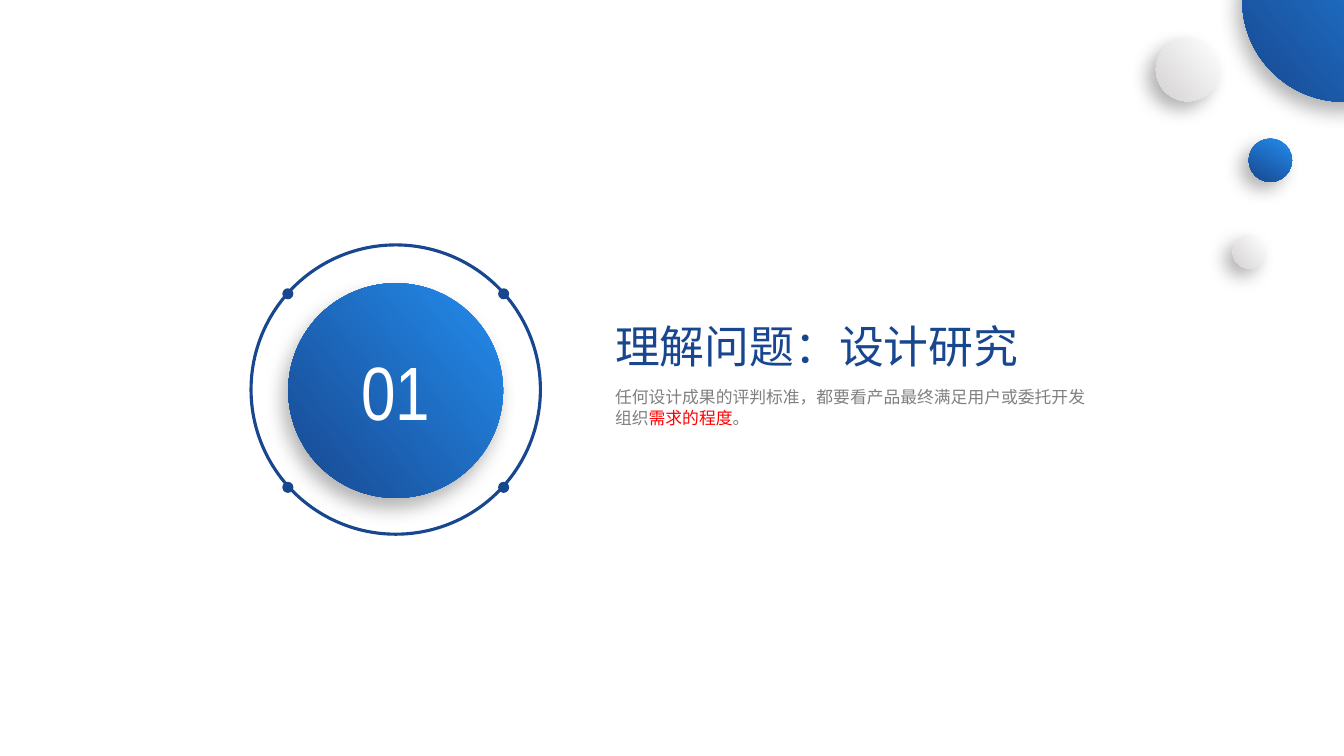
import itertools
from dataclasses import dataclass

import pptx
import pptx.dml.color
import pptx.enum.shapes
import pptx.enum.text
import pptx.oxml
import pptx.oxml.ns
import pptx.util
from pptx.util import Inches


@dataclass(frozen=True)
class Theme:
    navy: str = "18478F"
    blue: tuple = ("238DED", "18478F")
    silver: tuple = ("FFFFFF", "D4D2D3")
    white: str = "FFFFFF"
    grey: str = "808080"
    red: str = "FF0000"
    font: str = "Open Sans"
    number_font: str = "Arial Narrow"
    title_size: int = 32
    body_size: int = 12
    number_size: int = 54


T = Theme()


def rgb(color):
    return pptx.dml.color.RGBColor.from_string(color)


def add_run(p, text, size, color, font=T.font):
    r = p.add_run()
    r.text = text
    r.font.size = pptx.util.Pt(size)
    r.font.bold = False
    r.font.name = font
    r.font.color.rgb = rgb(color)
    ea = pptx.oxml.parse_xml(f'<a:ea {pptx.oxml.ns.nsdecls("a")} typeface="{font}"/>')
    r.font._element.find(pptx.oxml.ns.qn("a:latin")).addnext(ea)


def add_circle(s, cx, cy, d):
    """Add a bare circle of diameter d centred on (cx, cy), in inches."""
    sp = s.shapes.add_shape(pptx.enum.shapes.MSO_SHAPE.OVAL,
                            Inches(cx - d / 2), Inches(cy - d / 2), Inches(d), Inches(d))
    sp.shadow.inherit = False
    sp.fill.background()
    sp.line.fill.background()
    return sp


def add_ball(s, cx, cy, d, colors, angle=140, blur=13, direction=135):
    """Add a gradient circle with a soft shadow; angles run clockwise."""
    sp = add_circle(s, cx, cy, d)
    sp.fill.gradient()
    sp.fill.gradient_angle = 360 - angle
    for stop, color in zip(sp.fill.gradient_stops, colors):
        stop.color.rgb = rgb(color)
    effects = sp._element.spPr.find(pptx.oxml.ns.qn("a:effectLst"))
    effects.append(pptx.oxml.parse_xml(
        f'<a:outerShdw {pptx.oxml.ns.nsdecls("a")} blurRad="{pptx.util.Pt(blur)}" '
        f'dist="{pptx.util.Pt(8)}" dir="{direction * 60000}" algn="ctr" rotWithShape="0">'
        '<a:srgbClr val="000000"><a:alpha val="30000"/></a:srgbClr></a:outerShdw>'))
    return sp


def add_badge(s, left, top, size, number):
    """Place the ring, its four dots and the numbered disc in a square box."""
    cx, cy = left + size / 2, top + size / 2
    ring = add_circle(s, cx, cy, size)
    ring.line.color.rgb = rgb(T.navy)
    ring.line.width = pptx.util.Pt(2.25)
    for dx, dy in itertools.product((-1.07, 1.07), (-0.95, 0.97)):
        dot = add_circle(s, cx + dx, cy + dy, 0.11)
        dot.fill.solid()
        dot.fill.fore_color.rgb = rgb(T.navy)
    disc = add_ball(s, cx, cy + 0.01, 2.13, T.blue, blur=14, direction=120)
    tf = disc.text_frame
    tf.vertical_anchor = pptx.enum.text.MSO_ANCHOR.MIDDLE
    p = tf.paragraphs[0]
    p.alignment = pptx.enum.text.PP_ALIGN.CENTER
    add_run(p, number, T.number_size, T.white, T.number_font)


def fill_placeholder(sp, left, top, width, height, size, runs):
    sp.left, sp.top, sp.width, sp.height = map(Inches, (left, top, width, height))
    tf = sp.text_frame
    tf.word_wrap = True
    tf.auto_size = pptx.enum.text.MSO_AUTO_SIZE.SHAPE_TO_FIT_TEXT
    tf.vertical_anchor = pptx.enum.text.MSO_ANCHOR.TOP
    p = tf.paragraphs[0]
    p.alignment = pptx.enum.text.PP_ALIGN.LEFT
    p.space_before = pptx.util.Pt(0)
    for text, color in runs:
        add_run(p, text, size, color)


def add_heading(s, left, top, width, title, body):
    fill_placeholder(s.shapes.title, left, top, width, 0.64, T.title_size, [(title, T.navy)])
    fill_placeholder(s.placeholders[1], left, top + 0.68, width, 0.5, T.body_size, body)


def add_corner_balls(s, right, top):
    """Scatter the decorative balls from the top right corner."""
    add_ball(s, right, top, 2.02, T.blue, blur=14, direction=120)
    add_ball(s, right - 1.55, top + 0.69, 0.63, T.silver)
    add_ball(s, right - 0.94, top + 2.5, 0.33, T.silver)
    add_ball(s, right - 0.73, top + 1.59, 0.43, T.blue, angle=120)


def add_section_slide(prs, number, title, body):
    s = prs.slides.add_slide(prs.slide_layouts.get_by_name("Section Header"))
    add_badge(s, 2.49, 2.43, 2.87, number)
    add_heading(s, 6, 3.11, 4.92, title, body)
    add_corner_balls(s, 13.33, 0)


def main():
    prs = pptx.Presentation()
    prs.slide_width, prs.slide_height = Inches(13.33), Inches(7.5)
    add_section_slide(prs, "01", "理解问题：设计研究", [
        ("任何设计成果的评判标准，都要看产品最终满足用户或委托开发组织", T.grey),
        ("需求的程度", T.red),
        ("。", T.grey),
    ])
    prs.save("out.pptx")


if __name__ == "__main__":
    main()
